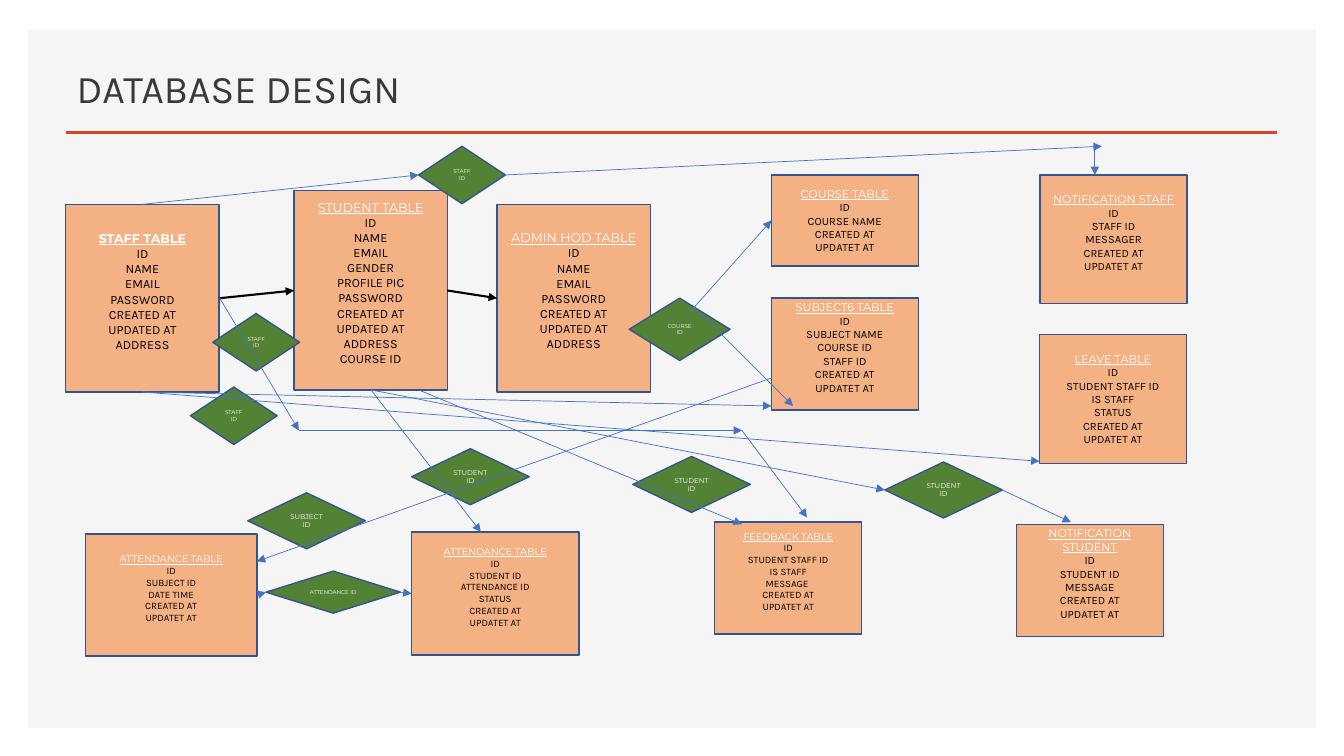
from pptx import Presentation
from pptx import util as u
from pptx.dml.color import RGBColor
from pptx.enum import shapes, text
from pptx.oxml.ns import qn
from lxml import etree

HUES = {"panel": "F5F5F5", "rule": "D24726", "title": "3B3838", "table": "F4B183",
        "key": "548235", "edge": "325491", "link": "4472C4", "black": "000000",
        "white": "FFFFFF"}
HEAD, BODY = "Montserrat", "Karla"
RECT, GEM = shapes.MSO_SHAPE.RECTANGLE, shapes.MSO_SHAPE.DIAMOND
INSET = 3.6

# Tables: left, top, width, height, text size, space kept below the rows, lines
TABLES = [
    (47, 146, 109.5, 134, 9, 9.5, "STAFF TABLE|ID|NAME|EMAIL|PASSWORD|CREATED AT|UPDATED AT|ADDRESS"),
    (210, 136, 109.5, 142.5, 9, 10.5, "STUDENT TABLE|ID|NAME|EMAIL|GENDER|PROFILE PIC|PASSWORD|"
     "CREATED AT|UPDATED AT|ADDRESS|COURSE ID"),
    (355, 146, 109.5, 134, 9, 10.5, "ADMIN HOD TABLE|ID|NAME|EMAIL|PASSWORD|CREATED AT|UPDATED AT|ADDRESS"),
    (551, 125, 105, 65, 8, 0, "COURSE TABLE|ID|COURSE NAME|CREATED AT|UPDATET AT"),
    (551, 213, 105, 80, 8, 9.5, "SUBJECT6 TABLE|ID|SUBJECT NAME|COURSE ID|STAFF ID|CREATED AT|UPDATET AT"),
    (743, 125, 105, 92, 8, 9.5, "NOTIFICATION STAFF|ID|STAFF ID|MESSAGER|CREATED AT|UPDATET AT"),
    (742.5, 239, 105, 92, 8, 0, "LEAVE TABLE|ID|STUDENT STAFF ID|IS STAFF|STATUS|CREATED AT|UPDATET AT"),
    (726, 374.5, 105, 80, 8, 9.5, "NOTIFICATION STUDENT|ID|STUDENT ID|MESSAGE|CREATED AT|UPDATET AT"),
    (510.5, 373, 105, 80, 7, 9.5, "FEEDBACK TABLE|ID|STUDENT STAFF ID|IS STAFF|MESSAGE |CREATED AT|UPDATET AT"),
    (294, 380, 119.5, 88, 7, 9.5, "ATTENDANCE TABLE|ID|STUDENT ID|ATTENDANCE ID|STATUS|CREATED AT|UPDATET AT"),
    (61, 381.5, 122.5, 87, 7, 9.5, "ATTENDANCE TABLE|ID|SUBJECT ID|DATE TIME|CREATED AT|UPDATET AT"),
]

# Keys: left, top, width, height, text size, label
KEYS = [
    (299, 104.5, 62, 41, 4, "STAFF ID"), (449.5, 213, 72, 44.5, 4, "COURSE ID"),
    (136, 276.5, 62, 41, 4, "STAFF ID"), (152, 224, 62, 41, 4, "STAFF ID"),
    (294, 320.5, 84, 40, 5, "STUDENT ID"), (632, 330, 84, 40, 5, "STUDENT ID"),
    (452, 326, 84, 40, 5, "STUDENT ID"), (190, 408, 96, 30, 4, "ATTENDANCE ID"),
    (177, 352, 84, 40, 5, "SUBJECT ID"),
]

# Links: each pair of neighbouring points is one arrow
FLOWS = [[(157, 213), (210, 207.5)], [(319.5, 207.5), (355, 213)]]
LINKS = [
    [(494.5, 218), (566.5, 290)],
    [(490.5, 225.5), (551, 157.5)],
    [(101.5, 146), (299, 125)],
    [(361, 125), (787, 104.5)],
    [(782, 104.5), (782, 125)],
    [(157, 213), (213.5, 307.5), (530, 307.5), (576.5, 369.5)],
    [(101.5, 280), (551, 290)],
    [(101.5, 280), (742.5, 329.5)],
    [(551, 270), (183.5, 401)],
    [(265, 278.5), (343.5, 380)],
    [(299, 278.5), (530, 374.5)],
    [(183.5, 425), (190, 423)],
    [(285.5, 423), (294, 424)],
    [(265, 278.5), (632, 350)],
    [(716, 350), (765, 373)],
]


def hue(name):
    return RGBColor.from_string(HUES[name])


def put(item, **vals):
    for name, val in vals.items():
        setattr(item, name, val)


def style(run, color, **vals):
    put(run.font, **vals)
    run.font.color.rgb = hue(color)


def box(slide, kind, area, fill, edge=None, low=INSET):
    shape = slide.shapes.add_shape(kind, *map(u.Pt, area))
    shape.shadow.inherit = False
    shape.fill.solid()
    shape.fill.fore_color.rgb = hue(fill)
    if edge:
        shape.line.color.rgb = hue(edge)
        shape.line.width = u.Pt(1)
    else:
        shape.line.fill.background()
    put(shape.text_frame, word_wrap=True, margin_bottom=u.Pt(low),
        vertical_anchor=text.MSO_ANCHOR.MIDDLE)
    return shape


def row(frame, first, words, size, face, color, **vals):
    para = frame.paragraphs[0] if first else frame.add_paragraph()
    para.alignment = text.PP_ALIGN.CENTER
    run = para.add_run()
    run.text = words
    style(run, color, size=u.Pt(size), name=face, **vals)


def table(slide, *spec_row):
    *area, size, gap, lines = spec_row
    frame = box(slide, RECT, area, "table", "edge", INSET + gap).text_frame
    head, *rest = lines.split("|")
    row(frame, True, head, size, HEAD, "white", underline=True, bold=head == "STAFF TABLE")
    for words in rest:
        row(frame, False, words, size, BODY, "black")


def key(slide, *item):
    *area, size, label = item
    frame = box(slide, GEM, area, "key", "edge").text_frame
    row(frame, True, label, size, HEAD, "white")


def line(slide, start, end, color, width, arrow=True):
    link = slide.shapes.add_connector(shapes.MSO_CONNECTOR.STRAIGHT, *map(u.Pt, start + end))
    link.line.color.rgb = hue(color)
    link.line.width = u.Pt(width)
    if arrow:
        etree.SubElement(link.line._get_or_add_ln(), qn("a:tailEnd"), type="triangle")
    etree.SubElement(link._element.spPr, qn("a:effectLst"))
    return link


def chain(slide, points, color, width):
    for start, end in zip(points, points[1:]):
        line(slide, start, end, color, width)


def title(slide, words):
    head = slide.shapes.title
    put(head, left=u.Pt(47.5), top=u.Pt(35.5), width=u.Pt(865), height=u.Pt(59))
    frame = head.text_frame
    put(frame, auto_size=text.MSO_AUTO_SIZE.NONE, word_wrap=True,
        vertical_anchor=text.MSO_ANCHOR.MIDDLE)
    para = frame.paragraphs[0]
    put(para, alignment=text.PP_ALIGN.LEFT, line_spacing=0.9)
    run = para.add_run()
    run.text = words
    style(run, "title", size=u.Pt(28), name=BODY)


def main():
    deck = Presentation()
    put(deck, slide_width=u.Pt(960), slide_height=u.Pt(540))
    slide = deck.slides.add_slide(deck.slide_layouts[5])

    # Panel behind the title, and the rule below it
    panel = box(slide, RECT, (20, 21, 920, 499), "panel")
    slide.shapes._spTree.insert(2, panel._element)
    line(slide, (47.5, 94.5), (912.5, 94.5), "rule", 2, arrow=False)
    title(slide, "DATABASE DESIGN")

    # Tables and the keys that join them
    for item in TABLES:
        table(slide, *item)
    for item in KEYS:
        key(slide, *item)

    # Arrows
    for points in FLOWS:
        chain(slide, points, "black", 1.5)
    for points in LINKS:
        chain(slide, points, "link", 0.5)

    deck.save("out.pptx")


main()
